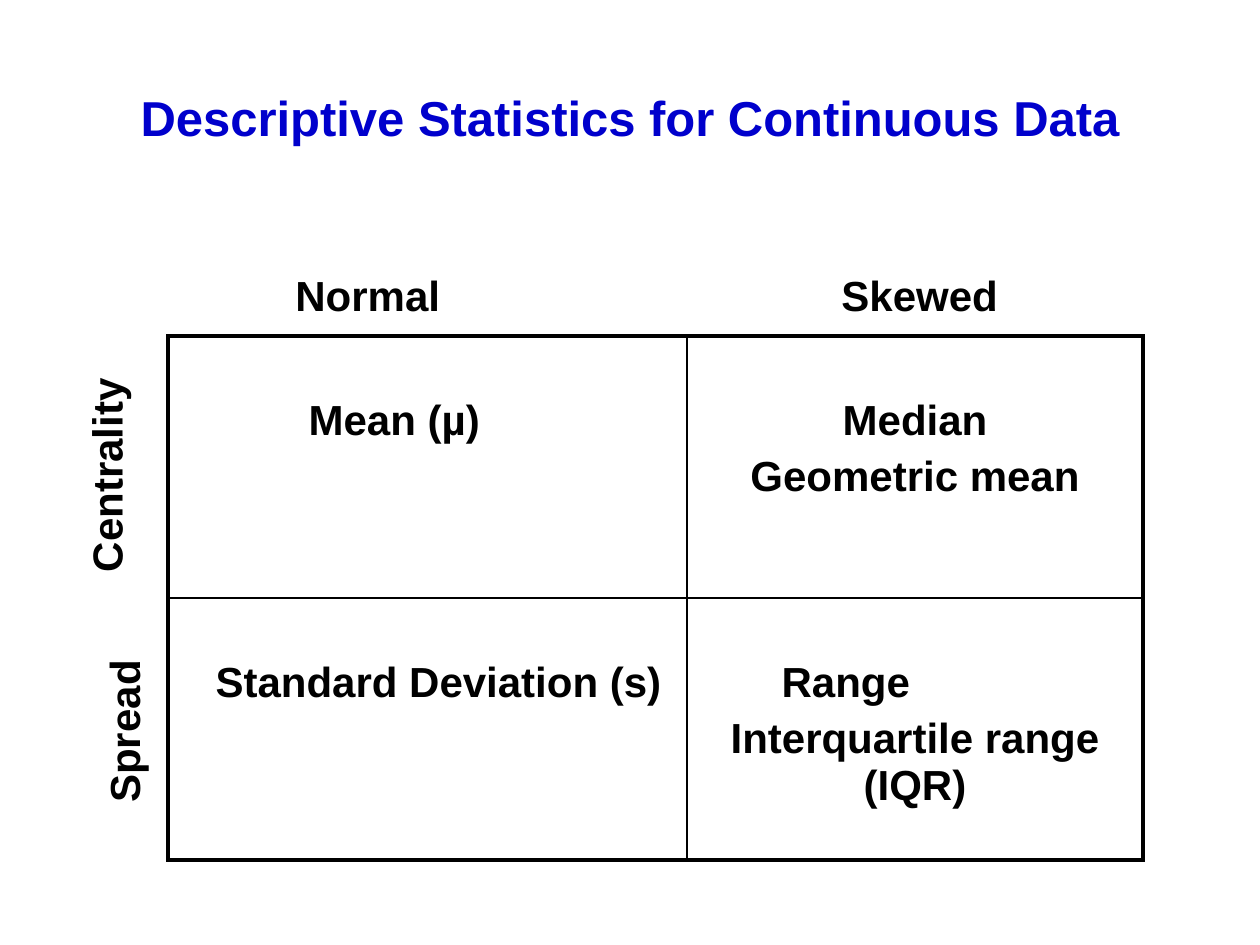
import pptx
import pptx.util
import pptx.dml.color
import pptx.enum.text
import pptx.oxml
import pptx.oxml.ns

theme = {"font": "Arial", "blue": "0000CC", "ink": "000000",
         "head": 28, "body": 24, "thick": 2.25, "thin": 1}
px = 914400 / 126
align = pptx.enum.text.PP_ALIGN


def place(*sizes):
    return [round(size * px) for size in sizes]


def style(para, size, color):
    for run in para.runs:
        run.font.name = theme["font"]
        run.font.size = pptx.util.Pt(size)
        run.font.bold = True
        run.font.color.rgb = pptx.dml.color.RGBColor.from_string(color)


deck = pptx.Presentation()
deck.slide_width, deck.slide_height = place(1260, 945)
slide = deck.slides.add_slide(deck.slide_layouts[5])

title = slide.shapes.title
title.left, title.top, title.width, title.height = place(63, 38, 1134, 157)
title.text_frame.text = "Descriptive Statistics for Continuous Data"
title.text_frame.vertical_anchor = pptx.enum.text.MSO_ANCHOR.MIDDLE
title.text_frame.paragraphs[0].alignment = align.CENTER
style(title.text_frame.paragraphs[0], theme["head"], theme["blue"])

grid = slide.shapes.add_table(2, 2, *place(168, 336, 975, 524)).table
grid.first_row = grid.horz_banding = False
for col, width in zip(grid.columns, place(519, 456)):
    col.width = width
for row in grid.rows:
    row.height = place(262)[0]

cells = [
    [[("Mean (µ)", 128)], [("Median", None), ("Geometric mean", None)]],
    [[("Standard Deviation (s)", 35)],
     [("Range", 82), ("Interquartile range (IQR)", None)]],
]
for r, row in enumerate(cells):
    for c, lines in enumerate(row):
        cell = grid.cell(r, c)
        cell.margin_top = place(62)[0]
        cell.text_frame.text = "\n".join(text for text, inset in lines)
        for n, (text, inset) in enumerate(lines):
            para = cell.text_frame.paragraphs[n]
            if inset is None:
                para.alignment = align.CENTER
            else:
                para.alignment = align.LEFT
                para._p.get_or_add_pPr().set("marL", str(place(inset)[0]))
            if n:
                para.space_before = pptx.util.Pt(5)
            style(para, theme["body"], theme["ink"])
        props = cell._tc.get_or_add_tcPr()
        edges = {"L": c == 0, "R": c == 1, "T": r == 0, "B": r == 1}
        for side, outer in edges.items():
            width = pptx.util.Pt(theme["thick" if outer else "thin"])
            props.append(pptx.oxml.parse_xml(
                f'<a:ln{side} {pptx.oxml.ns.nsdecls("a")} w="{width}">'
                f'<a:solidFill><a:srgbClr val="{theme["ink"]}"/></a:solidFill>'
                f'</a:ln{side}>'))
        cell.fill.background()

labels = [
    ("Normal", (283, 263, 171, 63), 0),
    ("Skewed", (829, 263, 184, 63), 0),
    ("Spread", (39, 699, 169, 63), 270),
    ("Centrality", (-5, 442, 222, 63), 270),
]
for text, spot, turn in labels:
    box = slide.shapes.add_textbox(*place(*spot))
    box.rotation = turn
    box.text_frame.word_wrap = False
    box.text_frame.auto_size = pptx.enum.text.MSO_AUTO_SIZE.SHAPE_TO_FIT_TEXT
    box.text_frame.text = text
    style(box.text_frame.paragraphs[0], theme["body"], theme["ink"])

deck.save("out.pptx")
